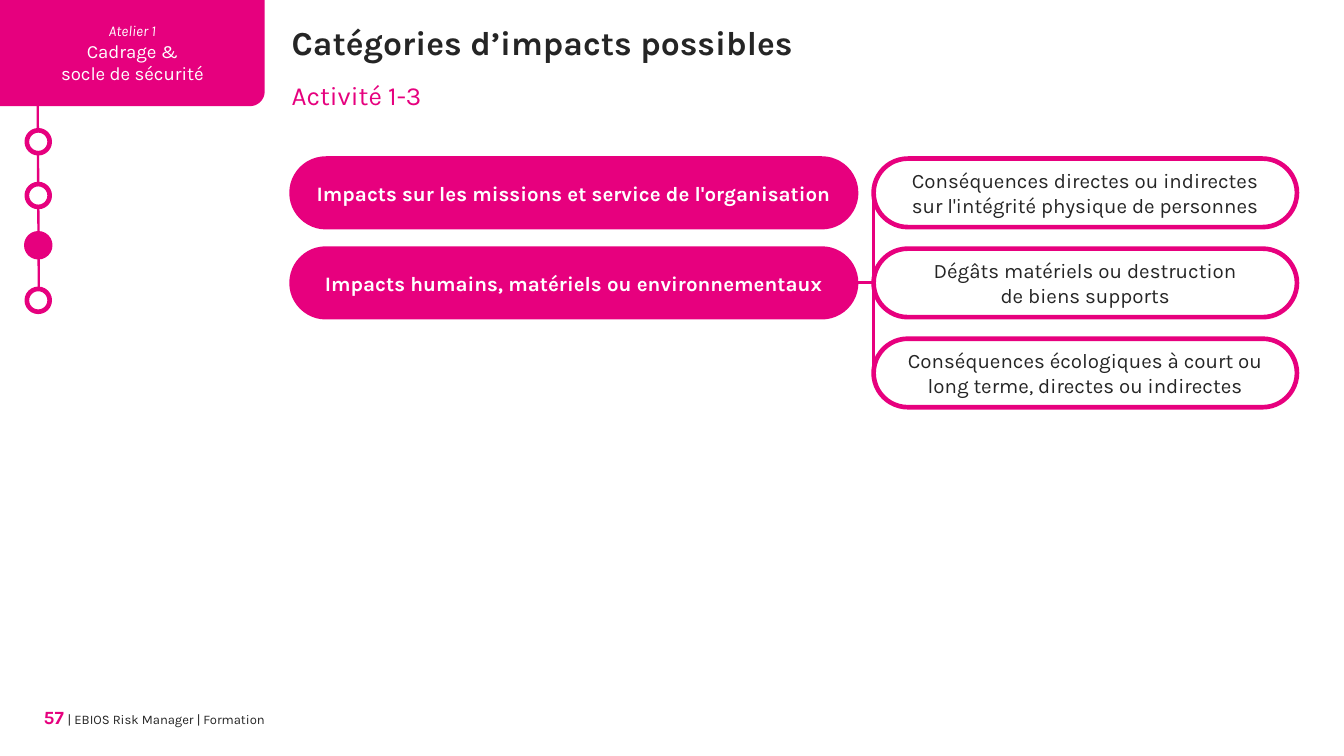
from copy import deepcopy
from math import cos, pi, sin
from typing import NamedTuple

from pptx import Presentation
from pptx.dml.color import RGBColor
from pptx.enum.shapes import MSO_CONNECTOR, MSO_SHAPE
from pptx.enum.text import MSO_ANCHOR, PP_ALIGN
from pptx.oxml.ns import qn
from pptx.oxml.xmlchemy import OxmlElement
from pptx.util import Inches, Pt

STRAIGHT = MSO_CONNECTOR.STRAIGHT
ELLIPSE, PILL = MSO_SHAPE.OVAL, MSO_SHAPE.ROUNDED_RECTANGLE
TOP, MIDDLE = MSO_ANCHOR.TOP, MSO_ANCHOR.MIDDLE
LEFT, CENTER, RIGHT = PP_ALIGN.LEFT, PP_ALIGN.CENTER, PP_ALIGN.RIGHT
LEFT_SIDE, RIGHT_SIDE = 1, 3
FONT = "Karla"
RAIL_PINK, PILL_PINK, INK, GREY, WHITE = "E6007E", "E7007E", "252525", "323232", "FFFFFF"
SLIDE_WIDTH = Inches(10)
SLIDE_HEIGHT = SLIDE_WIDTH * 9 // 16
PILL_TOP, PILL_STEP, PILL_HEIGHT = 1.18, 0.67, 0.51
STEP_SIZE = 0.17


class Span(NamedTuple):
    text: str
    size: float
    color: str
    bold: bool = False
    italic: bool = False


class Box(NamedTuple):
    left: float
    top: float
    width: float
    height: float


class Step(NamedTuple):
    top: float
    fill: str
    line_width: float


class Heading(NamedTuple):
    box: Box
    align: PP_ALIGN
    spans: list[Span]


class PillColumn(NamedTuple):
    left: float
    width: float
    fill: str
    color: str
    bold: bool
    margins: tuple[float, float]
    labels: list[list[str]]


STEPS = [
    Step(0.97, WHITE, 2.5),
    Step(1.37, WHITE, 2.5),
    Step(1.74, RAIL_PINK, 3),
    Step(2.15, WHITE, 2.5),
]
WORKSHOP = [
    [Span("Atelier 1", 8, WHITE, italic=True)],
    [Span("Cadrage &", 10, WHITE)],
    [Span("socle de sécurité", 10, WHITE)],
]
HEADINGS = [
    Heading(Box(0.2, 5.25, 1.77, 0.2), RIGHT, [
        Span("57", 10, RAIL_PINK, bold=True),
        Span(" ", 9, GREY),
        Span("| EBIOS Risk Manager | Formation", 7, INK),
    ]),
    Heading(Box(2.17, 0.16, 7.48, 0.3), LEFT,
            [Span("Catégories d’impacts possibles", 18, INK, bold=True)]),
    Heading(Box(2.17, 0.59, 7.04, 0.24), LEFT, [Span("Activité 1-3", 14, RAIL_PINK)]),
]
CATEGORIES = PillColumn(2.17, 4.2, PILL_PINK, WHITE, True, (0.1, 0.05), [
    ["Impacts sur les missions et service de l'organisation"],
    ["Impacts humains, matériels ou environnementaux"],
])
CONSEQUENCES = PillColumn(6.5, 3.15, WHITE, INK, False, (0.04, 0), [
    ["Conséquences directes ou indirectes\nsur l'intégrité physique de personnes"],
    ["Dégâts matériels ou destruction", "de biens supports"],
    ["Conséquences écologiques à court ou\nlong terme, directes ou indirectes"],
])


def rgb(value: str) -> RGBColor:
    """Turn a hex string into a colour."""
    return RGBColor.from_string(value)


def add_span(paragraph, span: Span) -> None:
    """Add a formatted span, with a line break at each newline."""
    formats = {"name": FONT, "size": Pt(span.size), "bold": span.bold, "italic": span.italic}
    for index, line in enumerate(span.text.split("\n")):
        if index:
            paragraph.add_line_break()
        run = paragraph.add_run()
        run.text = line
        for name, value in formats.items():
            setattr(run.font, name, value)
        run.font.color.rgb = rgb(span.color)
    for line_break in paragraph._p.findall(qn("a:br")):
        line_break.append(deepcopy(run._r.rPr))


def write(shape, paragraphs: list[list[Span]], align: PP_ALIGN, anchor: MSO_ANCHOR,
          margins: tuple[float, float]) -> None:
    """Fill a shape with aligned paragraphs."""
    frame = shape.text_frame
    across, down = map(Inches, margins)
    formats = {
        "word_wrap": True, "vertical_anchor": anchor,
        "margin_left": across, "margin_right": across,
        "margin_top": down, "margin_bottom": down,
    }
    for name, value in formats.items():
        setattr(frame, name, value)
    for index, spans in enumerate(paragraphs):
        paragraph = frame.add_paragraph() if index else frame.paragraphs[0]
        paragraph.alignment = align
        for span in spans:
            add_span(paragraph, span)


def paint(shape, fill: str, line: str, line_width: float) -> None:
    """Give a shape a flat fill and an outline."""
    shape.shadow.inherit = False
    shape.fill.solid()
    shape.fill.fore_color.rgb = rgb(fill)
    shape.line.color.rgb = rgb(line)
    shape.line.width = Pt(line_width)


def add_line(slide, start: tuple[float, float], end: tuple[float, float], color: str,
             width: float):
    """Draw a straight connector without a shadow."""
    line = slide.shapes.add_connector(STRAIGHT, *map(Inches, start + end))
    line.line.color.rgb = rgb(color)
    line.line.width = Pt(width)
    line._element.spPr.append(OxmlElement("a:effectLst"))
    return line


def add_progress(slide) -> None:
    """Draw the rail and its steps."""
    add_line(slide, (0.28, 0.67), (0.29, 2.33), RAIL_PINK, 1.25)
    for step in STEPS:
        box = Box(0.2, step.top, STEP_SIZE, STEP_SIZE)
        marker = slide.shapes.add_shape(ELLIPSE, *map(Inches, box))
        paint(marker, step.fill, RAIL_PINK, step.line_width)


def add_banner(slide) -> None:
    """Draw the workshop banner with its rounded lower right corner."""
    width, height, radius, segments = 1.97, 0.79, 0.11, 16
    angles = [pi / 2 * index / segments for index in range(segments + 1)]
    corner = [(width - radius + radius * cos(angle), height - radius + radius * sin(angle))
              for angle in angles]
    builder = slide.shapes.build_freeform(0, 0, scale=Inches(1) / 1000)
    outline = [(width, 0), *corner, (0, height)]
    builder.add_line_segments([(x * 1000, y * 1000) for x, y in outline], close=True)
    banner = builder.convert_to_shape()
    paint(banner, RAIL_PINK, RAIL_PINK, 1)
    banner.line.fill.background()
    write(banner, WORKSHOP, CENTER, MIDDLE, (0.1, 0.05))


def add_pills(slide, column: PillColumn) -> list:
    """Stack the labelled pills of a column."""
    pills = []
    for row, label in enumerate(column.labels):
        box = Box(column.left, PILL_TOP + row * PILL_STEP, column.width, PILL_HEIGHT)
        pill = slide.shapes.add_shape(PILL, *map(Inches, box))
        pill.adjustments[0] = 0.5
        paint(pill, column.fill, PILL_PINK, 2.5)
        paragraphs = [[Span(text, 11, column.color, column.bold)] for text in label]
        write(pill, paragraphs, CENTER, MIDDLE, column.margins)
        pills.append(pill)
    return pills


def main() -> None:
    """Build the slide and save it."""
    deck = Presentation()
    deck.slide_width, deck.slide_height = SLIDE_WIDTH, SLIDE_HEIGHT
    slide = deck.slides.add_slide(deck.slide_layouts[6])
    add_progress(slide)
    add_banner(slide)
    for heading in HEADINGS:
        text_box = slide.shapes.add_textbox(*map(Inches, heading.box))
        write(text_box, [heading.spans], heading.align, TOP, (0, 0))
    _, human_impacts = add_pills(slide, CATEGORIES)
    physical, material, ecological = add_pills(slide, CONSEQUENCES)
    for target, side in ((physical, LEFT_SIDE), (ecological, LEFT_SIDE),
                         (human_impacts, RIGHT_SIDE)):
        branch = add_line(slide, (0, 0), (0, 0), PILL_PINK, 1.5)
        branch.begin_connect(material, LEFT_SIDE)
        branch.end_connect(target, side)
    deck.save("out.pptx")


if __name__ == "__main__":
    main()
